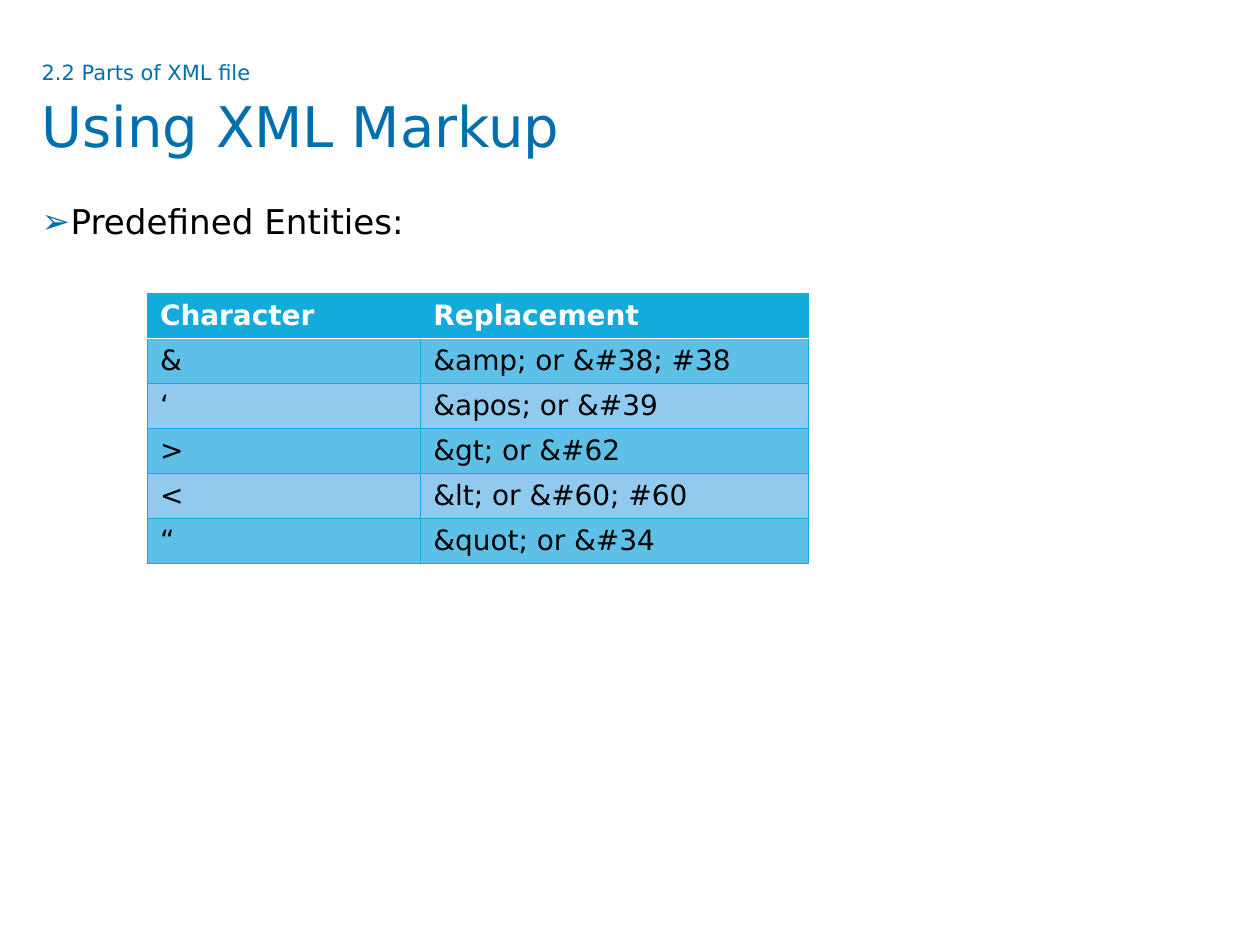
from typing import Any, NamedTuple

from lxml import etree
from pptx import Presentation
from pptx.dml.color import RGBColor
from pptx.enum.text import MSO_ANCHOR, MSO_AUTO_SIZE, PP_ALIGN
from pptx.oxml.ns import qn
from pptx.util import Inches, Pt

LEFT, JUSTIFY = PP_ALIGN.LEFT, PP_ALIGN.JUSTIFY
TOP = MSO_ANCHOR.TOP
NO_AUTOFIT = MSO_AUTO_SIZE.NONE

FONT = "DejaVu Sans"
BLUE = RGBColor(0x00, 0x70, 0xAD)
CYAN = RGBColor(0x12, 0xAB, 0xDB)
MID_CYAN = RGBColor(0x5E, 0xBF, 0xE7)
PALE_CYAN = RGBColor(0x90, 0xCB, 0xEF)
BLACK = RGBColor(0x00, 0x00, 0x00)
WHITE = RGBColor(0xFF, 0xFF, 0xFF)


class Entity(NamedTuple):
    character: str
    replacement: str


HEADER = Entity("Character", "Replacement")
ENTITIES = [
    Entity("&", "&amp; or &#38; #38"),
    Entity("‘", "&apos; or &#39"),
    Entity(">", "&gt; or &#62"),
    Entity("<", "&lt; or &#60; #60"),
    Entity("“", "&quot; or &#34"),
]
COLUMN_WIDTHS = (2.17, 3.08)
TABLE_HEIGHT = 2.14


def set_values(target: Any, values: dict[str, Any]) -> None:
    for name, value in values.items():
        setattr(target, name, value)


def add_text(paragraph: Any, text: str, size: float, color: RGBColor,
             bold: bool = False) -> None:
    run = paragraph.add_run()
    run.text = text
    set_values(run.font, {"name": FONT, "size": Pt(size), "bold": bold})
    run.font.color.rgb = color


def place(shape: Any, left: float, top: float, width: float, height: float) -> Any:
    """Move a placeholder, clear its insets and return its first paragraph."""
    set_values(shape, {"left": Inches(left), "top": Inches(top),
                       "width": Inches(width), "height": Inches(height)})
    set_values(shape.text_frame, {
        "margin_left": 0, "margin_top": 0, "margin_right": 0, "margin_bottom": 0,
        "vertical_anchor": TOP, "auto_size": NO_AUTOFIT, "word_wrap": True})
    return shape.text_frame.paragraphs[0]


def set_bullet(paragraph: Any, character: str, color: RGBColor, indent: float) -> None:
    properties = paragraph._p.get_or_add_pPr()
    properties.set("marL", str(Inches(indent)))
    properties.set("indent", str(-Inches(indent)))
    bullet_color = etree.SubElement(properties, qn("a:buClr"))
    etree.SubElement(bullet_color, qn("a:srgbClr"), val=str(color))
    etree.SubElement(properties, qn("a:buFont"), typeface=FONT)
    etree.SubElement(properties, qn("a:buChar"), char=character)


def set_border(cell: Any, side: str, color: RGBColor, width: float) -> None:
    line = etree.SubElement(cell._tc.get_or_add_tcPr(), qn(f"a:{side}"),
                            w=str(Pt(width)))
    fill = etree.SubElement(line, qn("a:solidFill"))
    etree.SubElement(fill, qn("a:srgbClr"), val=str(color))


def fill_cell(cell: Any, text: str, row: int) -> None:
    is_header = row == 0
    # Borders come before the fill in the cell properties
    for side in ("lnL", "lnR", "lnT", "lnB"):
        under_header = (row, side) in ((0, "lnB"), (1, "lnT"))
        set_border(cell, side, WHITE if under_header else CYAN,
                   1 if under_header else 0.5)
    cell.fill.solid()
    band = MID_CYAN if row % 2 else PALE_CYAN
    cell.fill.fore_color.rgb = CYAN if is_header else band
    add_text(cell.text_frame.paragraphs[0], text, 16,
             WHITE if is_header else BLACK, is_header)


def add_entity_table(slide: Any, left: float, top: float) -> None:
    rows = [HEADER, *ENTITIES]
    table = slide.shapes.add_table(
        len(rows), len(COLUMN_WIDTHS), Inches(left), Inches(top),
        Inches(sum(COLUMN_WIDTHS)), Inches(TABLE_HEIGHT)).table
    for column, width in zip(table.columns, COLUMN_WIDTHS):
        column.width = Inches(width)
    for row, entity in enumerate(rows):
        for column, text in enumerate(entity):
            fill_cell(table.cell(row, column), text, row)


presentation = Presentation()
set_values(presentation, {"slide_width": Inches(10), "slide_height": Inches(7.5)})
slide = presentation.slides.add_slide(presentation.slide_layouts[1])

# Section label and title
title = place(slide.shapes.title, 0.33, 0.45, 9.33, 0.94)
set_values(title, {"alignment": LEFT, "line_spacing": 1.1})
add_text(title, "2.2 Parts of XML file", 12, BLUE)
title.add_line_break()
add_text(title, "Using XML Markup", 32, BLUE)

# Bulleted lead-in
lead_in = place(slide.placeholders[1], 0.33, 1.63, 9.34, 5.08)
set_values(lead_in, {"alignment": JUSTIFY, "line_spacing": 0.9,
                     "space_before": Pt(7.5)})
set_bullet(lead_in, "➢", BLUE, 0.23)
add_text(lead_in, "Predefined Entities:", 19.5, BLACK)

# Entity table
add_entity_table(slide, 1.17, 2.33)

presentation.save("out.pptx")
